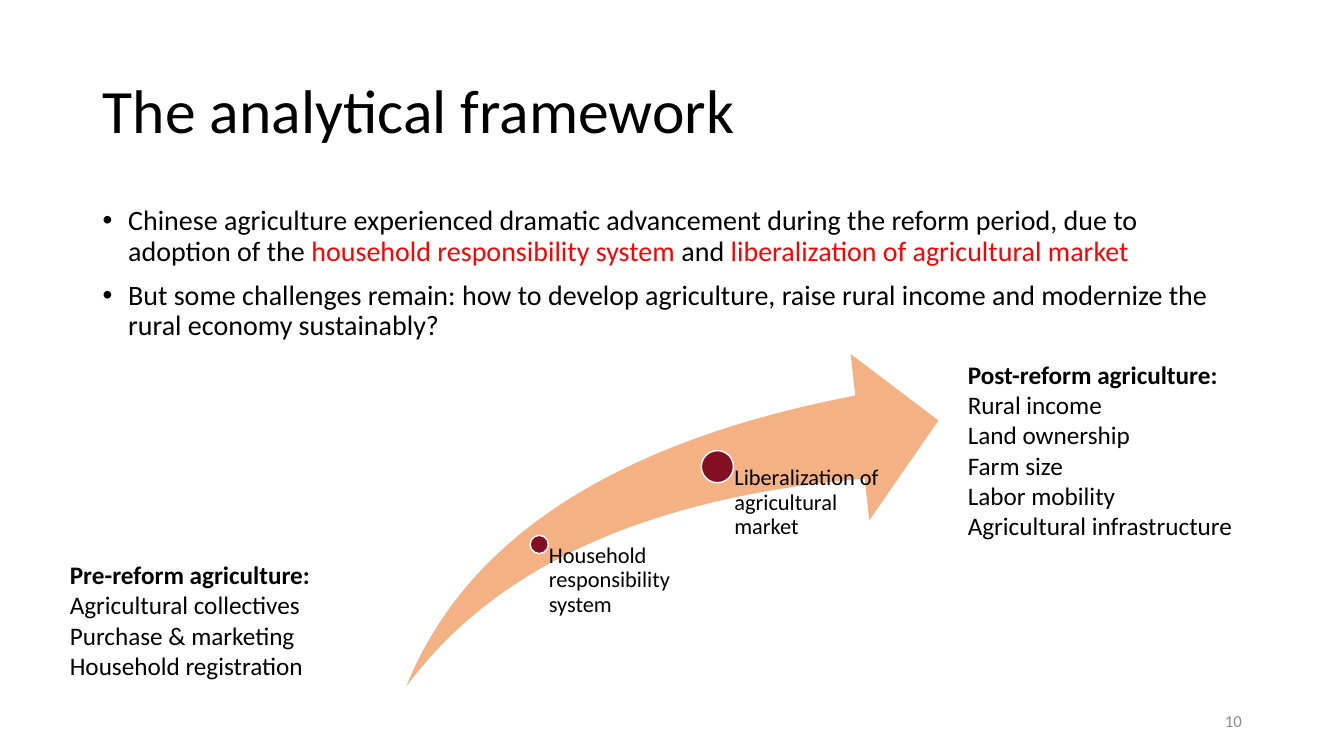
from dataclasses import dataclass
from lxml.etree import SubElement
from pptx import Presentation
from pptx.dml.color import RGBColor as RGB
from pptx.enum.shapes import MSO_SHAPE as Shape
from pptx.enum.text import MSO_ANCHOR as Anchor, MSO_AUTO_SIZE as Fit, PP_ALIGN as Align
from pptx.oxml.ns import qn
from pptx.util import Cm, Pt


@dataclass(frozen=True)
class Theme:
    """Colours, font and type sizes of the deck."""
    face: str = "Calibri"
    ink: str = "000000"
    red: str = "FF0000"
    gray: str = "8C8C8C"
    arrow: str = "F4B183"
    dot: str = "840E22"
    edge: str = "FFFFFF"
    title: int = 44
    body: int = 20
    list: int = 18
    label: int = 16
    small: int = 12


class Page:
    """Draws styled elements on one slide."""

    def __init__(self, deck, theme):
        """Add a title-only slide."""
        self.theme = theme
        self.slide = deck.slides.add_slide(deck.slide_layouts[5])

    def style(self, para, size, color=None, bold=False, lead=1.0, align=Align.LEFT):
        """Set the type and spacing of a paragraph."""
        para.alignment, para.line_spacing = align, lead
        font = para.font
        font.name, font.size, font.bold = self.theme.face, Pt(size), bold
        font.color.rgb = RGB.from_string(color or self.theme.ink)

    def title(self, text, box):
        """Fill and place the title."""
        head = self.slide.shapes.title
        head.left, head.top, head.width, head.height = map(Cm, box)
        frame = head.text_frame
        frame.text = text
        frame.auto_size, frame.vertical_anchor = Fit.NONE, Anchor.MIDDLE
        self.style(frame.paragraphs[0], self.theme.title, lead=0.9)

    def frame(self, box, pad=(0.25, 0.13, 0.25, 0.13), anchor=Anchor.TOP):
        """Add a wrapping text box and return its frame."""
        frame = self.slide.shapes.add_textbox(*map(Cm, box)).text_frame
        frame.word_wrap, frame.vertical_anchor = True, anchor
        (frame.margin_left, frame.margin_top,
         frame.margin_right, frame.margin_bottom) = map(Cm, pad)
        return frame

    def paras(self, frame, count):
        """Return the given number of paragraphs in a frame."""
        return [frame.paragraphs[0]] + [frame.add_paragraph() for _ in range(count - 1)]

    def points(self, items, box):
        """Add bullets made of (text, marked) pieces."""
        for para, item in zip(self.paras(self.frame(box), len(items)), items):
            props = para._p.get_or_add_pPr()
            props.set("marL", str(Cm(0.64)))
            props.set("indent", str(-Cm(0.64)))
            SubElement(props, qn("a:buFont")).set("typeface", "Arial")
            SubElement(props, qn("a:buChar")).set("char", "•")
            self.style(para, self.theme.body, lead=0.9)
            para.space_before = Pt(10)
            for text, marked in item:
                run = para.add_run()
                run.text = text
                if marked:
                    run.font.color.rgb = RGB.from_string(self.theme.red)

    def list(self, lines, box):
        """Add a list under a bold first line."""
        frame = self.frame(box, (0.13,) * 4)
        for rank, para in enumerate(self.paras(frame, len(lines))):
            para.text = lines[rank]
            self.style(para, self.theme.list, bold=rank == 0)

    def shape(self, kind, box, fill, edge=None):
        """Add a filled preset shape."""
        item = self.slide.shapes.add_shape(kind, *map(Cm, box))
        item.shadow.inherit = False
        item.fill.solid()
        item.fill.fore_color.rgb = RGB.from_string(fill)
        if edge:
            item.line.color.rgb = RGB.from_string(edge)
            item.line.width = Pt(1)
        else:
            item.line.fill.background()
        return item

    def swoosh(self, box):
        """Add the rising arrow."""
        arrow = self.shape(Shape.SWOOSH_ARROW, box, self.theme.arrow)
        arrow.adjustments[0] = arrow.adjustments[1] = 0.25

    def step(self, text, x, y, size, base):
        """Add a dot centred on x, y with a label down to base."""
        self.shape(Shape.OVAL, (x - size / 2, y - size / 2, size, size),
                   self.theme.dot, self.theme.edge)
        frame = self.frame((x, y, 4.37, base - y), (size * 0.53, 0, 0, 0))
        frame.text = text
        self.style(frame.paragraphs[0], self.theme.label, lead=0.9)

    def number(self, text, box):
        """Add the page number."""
        frame = self.frame(box, anchor=Anchor.MIDDLE)
        frame.text = text
        self.style(frame.paragraphs[0], self.theme.small, self.theme.gray, align=Align.RIGHT)


def main():
    """Build the slide."""
    deck = Presentation()
    deck.slide_width, deck.slide_height = Cm(33.87), Cm(19.05)
    page = Page(deck, Theme())
    page.title("The analytical framework", (2.34, 1.02, 29.21, 3.68))
    page.points([
        [("Chinese agriculture experienced dramatic advancement during the reform period, "
          "due to adoption of the ", False),
         ("household responsibility system", True),
         (" and ", False),
         ("liberalization of agricultural market", True)],
        [("But some challenges remain: how to develop agriculture, raise rural income "
          "and modernize the rural economy sustainably?", False)],
    ], (2.34, 5.08, 29.21, 12.09))
    page.swoosh((10.24, 8.92, 13.41, 8.38))
    base = 17.3
    page.step("Household responsibility system", 13.59, 13.72, 0.46, base)
    page.step("Liberalization of agricultural market", 18.08, 11.76, 0.81, base)
    page.list(["Pre-reform agriculture:", "Agricultural collectives", "Purchase & marketing",
               "Household registration"], (1.63, 13.97, 9.02, 3.33))
    page.list(["Post-reform agriculture:", "Rural income", "Land ownership", "Farm size",
               "Labor mobility", "Agricultural infrastructure"], (24.26, 8.92, 7.29, 4.88))
    page.number("10", (23.93, 17.65, 7.62, 1.02))
    deck.save("out.pptx")


if __name__ == "__main__":
    main()
